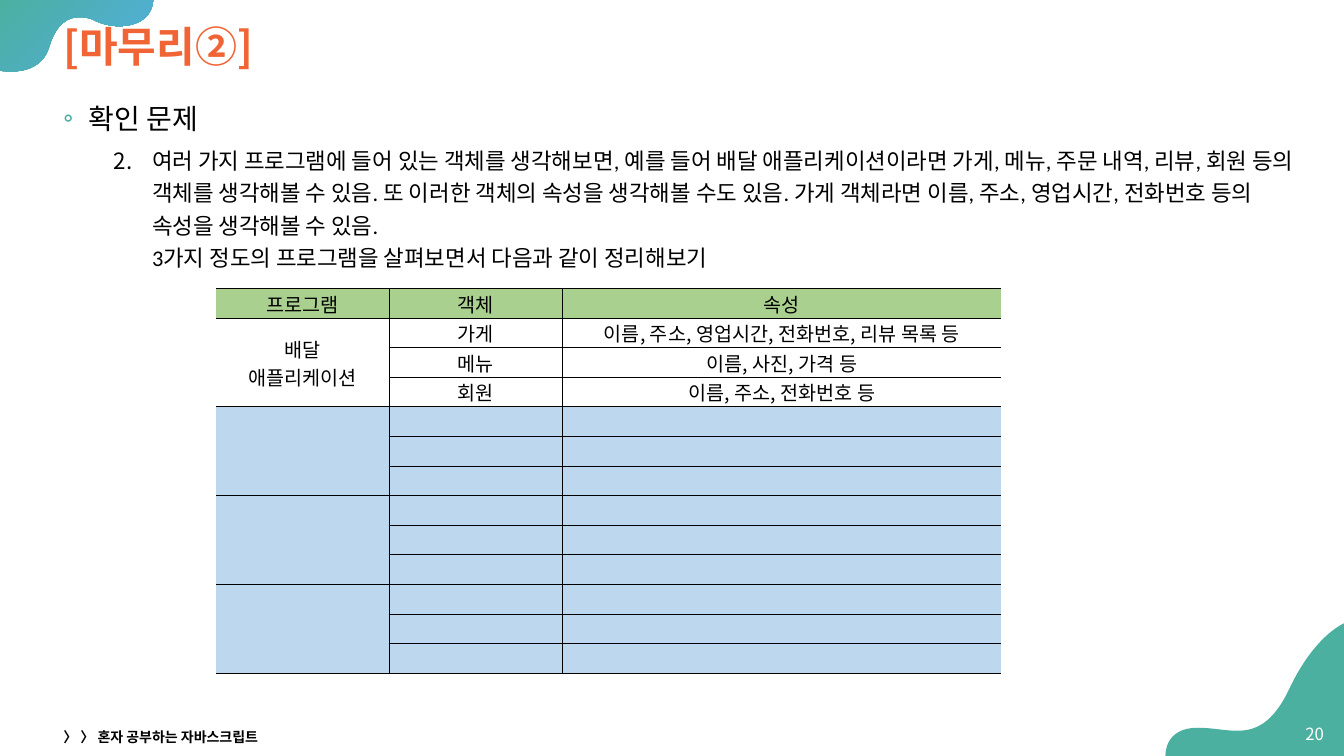
from dataclasses import dataclass

from lxml import etree
from pptx import Presentation
from pptx.dml.color import RGBColor
from pptx.enum.text import MSO_ANCHOR, PP_ALIGN
from pptx.oxml.ns import qn
from pptx.util import Inches, Pt

LEFT, CENTER, RIGHT = PP_ALIGN.LEFT, PP_ALIGN.CENTER, PP_ALIGN.RIGHT
MIDDLE, TOP = MSO_ANCHOR.MIDDLE, MSO_ANCHOR.TOP
SANS, LATIN = "Noto Sans CJK KR", "Calibri"
COLORS = {
    "teal": "4BB0A0", "blue": "52AEE1", "orange": "F06436", "black": "000000",
    "white": "FFFFFF", "header": "A9D08E", "blank": "BDD7EE",
}
Point = tuple[float, float]


@dataclass
class Label:
    text: str
    box: tuple[float, float, float, float]
    size: int
    color: str
    bold: bool = False
    align: PP_ALIGN = LEFT


@dataclass
class Outline:
    """A start point, then steps: one point is a line, three are a curve."""
    start: Point
    steps: list[list[Point]]


def rgb(name: str) -> RGBColor:
    return RGBColor.from_string(COLORS[name])


def add_xml(parent, tag: str, **attrs: str):
    return etree.SubElement(parent, qn(tag), attrs)


def style_paragraph(p, size: int, color: str = "black", bold: bool = False,
                    font: str = SANS, align: PP_ALIGN = LEFT) -> None:
    p.alignment = align
    for r in p.runs:
        r.font.size, r.font.bold, r.font.name = Pt(size), bold, font
        r.font.color.rgb = rgb(color)
        r.font._element.set("kern", "0")
        add_xml(r.font._element, "a:ea", typeface=SANS)


def fill_label(sp, label: Label) -> None:
    sp.left, sp.top, sp.width, sp.height = map(Inches, label.box)
    tf = sp.text_frame
    tf.word_wrap = True
    tf.vertical_anchor = MIDDLE
    p = tf.paragraphs[0]
    p.text = label.text
    style_paragraph(p, label.size, label.color, label.bold, align=label.align)


def add_outline(s, outline: Outline):
    units = 1000  # drawing units per inch
    builder = s.shapes.build_freeform(
        *(v * units for v in outline.start), scale=Inches(1) / units)
    builder.add_line_segments(
        [(x * units, y * units) for step in outline.steps for x, y in step], close=True)
    sp = builder.convert_to_shape()
    # Join each three-point step into one Bézier segment
    lines = iter(list(sp._element.iter(qn("a:lnTo"))))
    for step in outline.steps:
        segment = [next(lines) for _ in step]
        if len(step) == 3:
            curve = etree.Element(qn("a:cubicBezTo"))
            segment[0].addprevious(curve)
            for line in segment:
                curve.append(line[0])
                line.getparent().remove(line)
    sp.shadow.inherit = False
    sp.line.fill.background()
    return sp


def set_borders(cell, col: int, last_col: int) -> None:
    tc_pr = cell._tc.get_or_add_tcPr()
    for side in "LRTB":
        ln = add_xml(tc_pr, f"a:ln{side}", w=str(Pt(0.5)))
        if (side == "L" and col == 0) or (side == "R" and col == last_col):
            add_xml(ln, "a:noFill")
        else:
            add_xml(add_xml(ln, "a:solidFill"), "a:srgbClr", val=COLORS["black"])


prs = Presentation()
prs.slide_width, prs.slide_height = Inches(13.33), Inches(7.5)
s = prs.slides.add_slide(prs.slide_layouts[5])

# Corner waves
top_wave = add_outline(s, Outline((1.52, -0.02), [
    [(-0.01, -0.02)], [(-0.01, 0.7)],
    [(-0.01, 0.7), (0.04, 0.71), (0.11, 0.71)],
    [(0.24, 0.71), (0.43, 0.67), (0.49, 0.46)],
    [(0.56, 0.23), (0.68, 0.17), (0.79, 0.17)],
    [(0.84, 0.17), (0.89, 0.18), (0.93, 0.2)],
    [(1.01, 0.24), (1.1, 0.26), (1.18, 0.26)],
    [(1.37, 0.26), (1.52, 0.17), (1.52, -0.02)]]))
top_wave.fill.gradient()
top_wave.fill.gradient_angle = 315
for stop, name in zip(top_wave.fill.gradient_stops, ("teal", "blue")):
    stop.color.rgb = rgb(name)

bottom_wave = add_outline(s, Outline((13.34, 6.18), [
    [(13.34, 6.18), (13.04, 6.29), (12.78, 6.85)],
    [(12.62, 7.18), (12.45, 7.25), (12.27, 7.25)],
    [(12.15, 7.25), (12.02, 7.22), (11.88, 7.22)],
    [(11.54, 7.22), (11.56, 7.5), (11.56, 7.5)],
    [(13.34, 7.5)]]))
bottom_wave.fill.solid()
bottom_wave.fill.fore_color.rgb = rgb("teal")

# Title, in front of the wave
title = s.shapes.title
fill_label(title, Label("[마무리②]", (0.53, 0.12, 12.34, 0.73), 30, "orange", True))
title.text_frame.paragraphs[0].line_spacing = 0.9
s.shapes._spTree.append(title._element)

# Page number and footer
for label in (
    Label("20", (12.79, 7.08, 0.44, 0.4), 12, "white", align=RIGHT),
    Label("〉 〉 혼자 공부하는 자바스크립트", (0.53, 7.19, 4.5, 0.24), 10, "black", True),
):
    fill_label(s.shapes.add_textbox(0, 0, 0, 0), label)

# Question
body = s.shapes.add_textbox(Inches(0.53), Inches(0.89), Inches(12.45), Inches(6.3))
tf = body.text_frame
tf.word_wrap = True
tf.vertical_anchor = TOP
heading, question = tf.paragraphs[0], tf.add_paragraph()
heading.text = "확인 문제"
question.text = (
    "여러 가지 프로그램에 들어 있는 객체를 생각해보면, 예를 들어 배달 애플리케이션이라면 "
    "가게, 메뉴, 주문 내역, 리뷰, 회원 등의 객체를 생각해볼 수 있음. 또 이러한 객체의 "
    "속성을 생각해볼 수도 있음. 가게 객체라면 이름, 주소, 영업시간, 전화번호 등의 속성을 "
    "생각해볼 수 있음.\n3가지 정도의 프로그램을 살펴보면서 다음과 같이 정리해보기")
question.level = 1
for p, size, margin, hang in ((heading, 20, 0.25, 0.25), (question, 16, 0.88, 0.38)):
    p_pr = p._p.get_or_add_pPr()
    p_pr.set("marL", str(Inches(margin)))
    p_pr.set("indent", str(-Inches(hang)))
    if p is heading:
        add_xml(add_xml(p_pr, "a:buClr"), "a:srgbClr", val=COLORS["teal"])
        add_xml(p_pr, "a:buFont", typeface=LATIN)
        add_xml(p_pr, "a:buChar", char="◦")
    else:
        add_xml(p_pr, "a:buAutoNum", type="arabicPeriod", startAt="2")
    p.line_spacing = 1.2
    style_paragraph(p, size, font=LATIN)
question.space_before = Pt(5)

# Table: a header, one worked example and three blank groups
GROUP, GROUPS = 3, 4
COL_WIDTHS = (1.72, 1.72, 4.35)
TABLE_HEIGHT = 3.82
rows = [
    ("프로그램", "객체", "속성"),
    ("배달\n애플리케이션", "가게", "이름, 주소, 영업시간, 전화번호, 리뷰 목록 등"),
    ("", "메뉴", "이름, 사진, 가격 등"),
    ("", "회원", "이름, 주소, 전화번호 등"),
]
rows += [("", "", "")] * (GROUP * (GROUPS - 1))
table = s.shapes.add_table(
    len(rows), len(COL_WIDTHS), Inches(2.14), Inches(2.86),
    Inches(sum(COL_WIDTHS)), Inches(TABLE_HEIGHT)).table
table.first_row = table.horz_banding = False
for column, width in zip(table.columns, COL_WIDTHS):
    column.width = Inches(width)

for i, row in enumerate(rows):
    for j, text in enumerate(row):
        cell = table.cell(i, j)
        set_borders(cell, j, len(row) - 1)
        if 0 < i <= GROUP:
            cell.fill.background()
        else:
            cell.fill.solid()
            cell.fill.fore_color.rgb = rgb("header" if i == 0 else "blank")
        cell.vertical_anchor = MIDDLE
        cell.margin_left = cell.margin_right = cell.margin_top = Inches(0.01)
        cell.margin_bottom = 0
        p = cell.text_frame.paragraphs[0]
        p.text = text
        style_paragraph(p, 14, align=CENTER)
        if not text:
            end = add_xml(p._p, "a:endParaRPr", sz="1400")
            for tag in ("a:latin", "a:ea"):
                add_xml(end, tag, typeface=SANS)

for top in range(1, len(rows), GROUP):
    table.cell(top, 0).merge(table.cell(top + GROUP - 1, 0))

prs.save("out.pptx")
